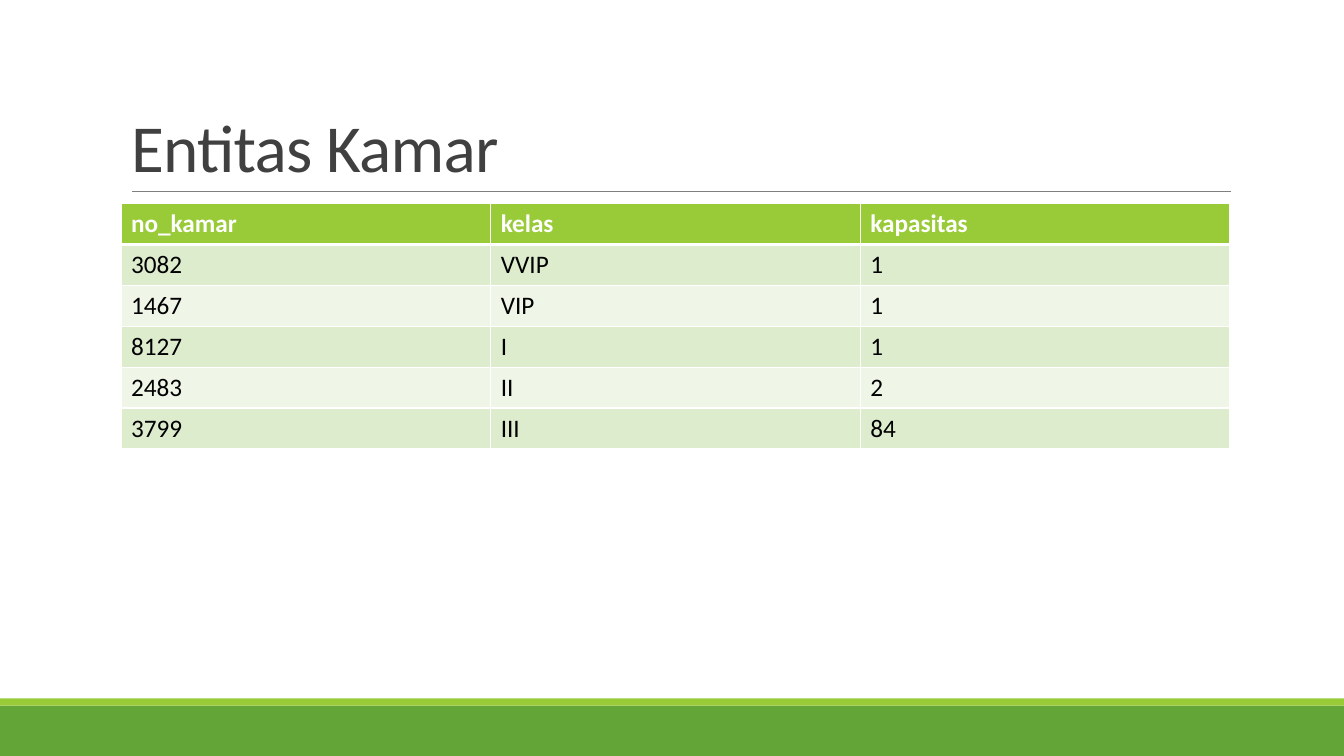
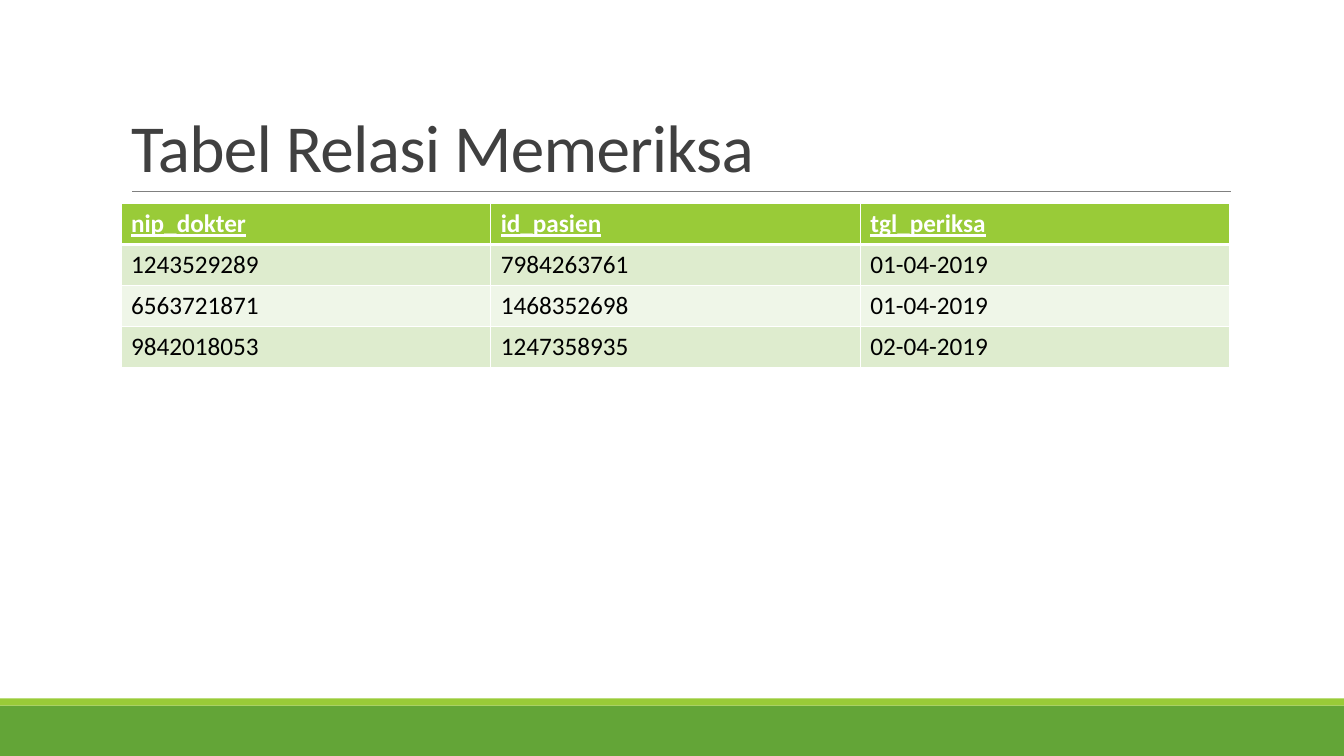
from dataclasses import dataclass

from lxml import etree
from pptx import Presentation
from pptx.dml.color import RGBColor
from pptx.enum.shapes import MSO_CONNECTOR, MSO_SHAPE
from pptx.enum.text import MSO_ANCHOR, MSO_AUTO_SIZE, PP_ALIGN
from pptx.oxml.ns import qn
from pptx.slide import Slide
from pptx.table import _Cell
from pptx.text.text import _Paragraph
from pptx.util import Inches, Pt

RECTANGLE = MSO_SHAPE.RECTANGLE
STRAIGHT = MSO_CONNECTOR.STRAIGHT
BOTTOM = MSO_ANCHOR.BOTTOM
LEFT = PP_ALIGN.LEFT
NO_AUTOFIT = MSO_AUTO_SIZE.NONE
TITLE_ONLY = 5

SLIDE_WIDTH, SLIDE_HEIGHT = 13.33, 7.5
CONTENT_LEFT, CONTENT_WIDTH = 1.2, 11
TITLE_TOP, TITLE_HEIGHT = 0.31, 1.59
RULE_LEFT, RULE_RIGHT = 1.31, 12.21
RULE_TOP = TITLE_TOP + TITLE_HEIGHT
TABLE_TOP = 2.02
ROW_HEIGHT = 0.81 / 2


@dataclass(frozen=True)
class Theme:
    font: str = "Calibri"
    title_size: float = 48
    table_size: float = 18
    title: str = "404040"
    rule: str = "808080"
    footer: str = "63A537"
    accent: str = "99CB38"
    odd_row: str = "DEECCE"
    even_row: str = "EFF6E8"
    header_text: str = "FFFFFF"
    body_text: str = "000000"
    border: str = "FFFFFF"
    thin_border: float = 1
    thick_border: float = 3


@dataclass(frozen=True)
class Band:
    top: float
    height: float
    color: str


@dataclass(frozen=True)
class TablePage:
    title: str
    header: tuple[str, ...]
    rows: tuple[tuple[str, ...], ...]
    underline_header: bool = False


THEME = Theme()

BANDS = (
    Band(7, 0.5, THEME.footer),
    Band(6.93, 0.07, THEME.accent),
)

PAGES = (
    TablePage(
        "Entitas Kamar",
        ("no_kamar", "kelas", "kapasitas"),
        (
            ("3082", "VVIP", "1"),
            ("1467", "VIP", "1"),
            ("8127", "I", "1"),
            ("2483", "II", "2"),
            ("3799", "III", "84"),
        ),
    ),
    TablePage(
        "Tabel Relasi Memeriksa",
        ("nip_dokter", "id_pasien", "tgl_periksa"),
        (
            ("1243529289", "7984263761", "01-04-2019"),
            ("6563721871", "1468352698", "01-04-2019"),
            ("9842018053", "1247358935", "02-04-2019"),
        ),
        underline_header=True,
    ),
)


def write_text(paragraph: _Paragraph, text: str, *, size: float, color: str,
               bold: bool = False, underline: bool = False,
               spacing: float = 0) -> None:
    """Add one formatted span; spacing is the letter spacing in points."""
    span = paragraph.add_run()
    span.text = text
    span.font.name = THEME.font
    span.font.size = Pt(size)
    span.font.color.rgb = RGBColor.from_string(color)
    span.font.bold = bold
    span.font.underline = underline
    if spacing:
        span.font._element.set("spc", str(round(spacing * 100)))


def add_bands(page: Slide) -> None:
    for band in BANDS:
        box = page.shapes.add_shape(RECTANGLE, 0, Inches(band.top),
                                    Inches(SLIDE_WIDTH), Inches(band.height))
        box.shadow.inherit = False
        box.fill.solid()
        box.fill.fore_color.rgb = RGBColor.from_string(band.color)
        box.line.fill.background()


def add_title_rule(page: Slide) -> None:
    rule = page.shapes.add_connector(STRAIGHT, Inches(RULE_LEFT), Inches(RULE_TOP),
                                     Inches(RULE_RIGHT), Inches(RULE_TOP))
    rule.line.color.rgb = RGBColor.from_string(THEME.rule)
    rule.line.width = Pt(0.5)
    etree.SubElement(rule._element.spPr, qn("a:effectLst"))


def set_title(page: Slide, text: str) -> None:
    title = page.shapes.title
    title.left, title.top = Inches(CONTENT_LEFT), Inches(TITLE_TOP)
    title.width, title.height = Inches(CONTENT_WIDTH), Inches(TITLE_HEIGHT)
    frame = title.text_frame
    frame.auto_size = NO_AUTOFIT
    frame.word_wrap = True
    frame.vertical_anchor = BOTTOM
    paragraph = frame.paragraphs[0]
    paragraph.alignment = LEFT
    paragraph.line_spacing = 0.85
    write_text(paragraph, text, size=THEME.title_size, color=THEME.title, spacing=-0.5)


def set_borders(cell: _Cell, *, top: float, bottom: float) -> None:
    properties = cell._tc.get_or_add_tcPr()
    sides = {"lnL": THEME.thin_border, "lnR": THEME.thin_border,
             "lnT": top, "lnB": bottom}
    for side, width in sides.items():
        line = etree.SubElement(properties, qn(f"a:{side}"), w=str(Pt(width)))
        fill = etree.SubElement(line, qn("a:solidFill"))
        etree.SubElement(fill, qn("a:srgbClr"), val=THEME.border)


def add_data_table(page: Slide, content: TablePage) -> None:
    rows = (content.header, *content.rows)
    table = page.shapes.add_table(
        len(rows), len(content.header), Inches(CONTENT_LEFT), Inches(TABLE_TOP),
        Inches(CONTENT_WIDTH), Inches(ROW_HEIGHT * len(rows))).table
    for row_index, values in enumerate(rows):
        is_header = row_index == 0
        if is_header:
            fill = THEME.accent
        else:
            fill = THEME.odd_row if row_index % 2 else THEME.even_row
        for column_index, value in enumerate(values):
            cell = table.cell(row_index, column_index)
            set_borders(
                cell,
                top=THEME.thick_border if row_index == 1 else THEME.thin_border,
                bottom=THEME.thick_border if is_header else THEME.thin_border)
            cell.fill.solid()
            cell.fill.fore_color.rgb = RGBColor.from_string(fill)
            write_text(cell.text_frame.paragraphs[0], value, size=THEME.table_size,
                       color=THEME.header_text if is_header else THEME.body_text,
                       bold=is_header,
                       underline=is_header and content.underline_header)


def main() -> None:
    deck = Presentation()
    deck.slide_width, deck.slide_height = Inches(SLIDE_WIDTH), Inches(SLIDE_HEIGHT)
    for content in PAGES:
        page = deck.slides.add_slide(deck.slide_layouts[TITLE_ONLY])
        add_bands(page)
        add_title_rule(page)
        set_title(page, content.title)
        add_data_table(page, content)
    deck.save("out.pptx")


if __name__ == "__main__":
    main()
